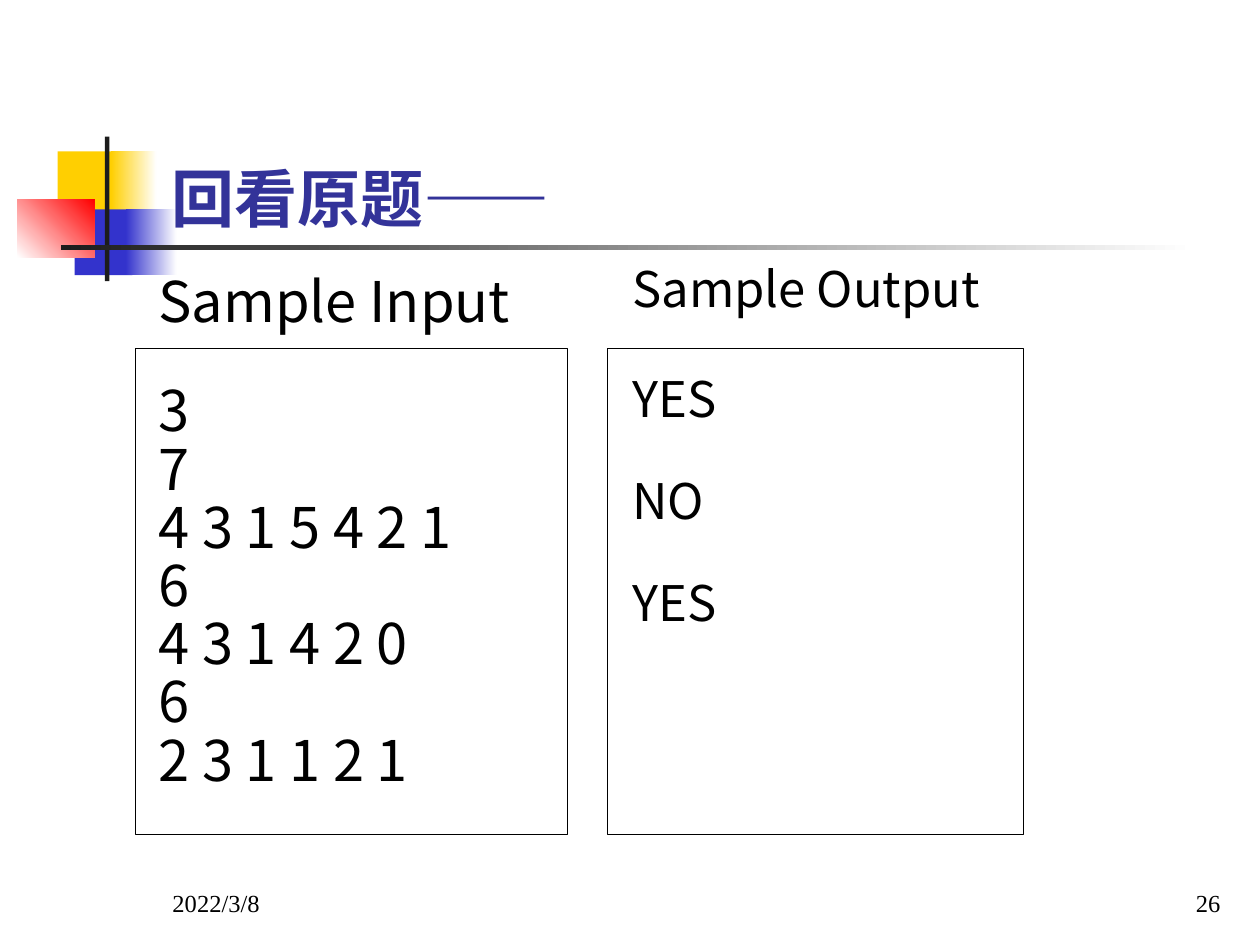
from dataclasses import dataclass

from lxml import etree
from pptx import Presentation
from pptx.dml.color import RGBColor
from pptx.enum import shapes, text
from pptx.oxml import ns
from pptx.util import Pt


@dataclass(frozen=True)
class Theme:
    yellow: str = "FFCF01"
    blue: str = "3333CC"
    red: str = "FF0000"
    dark: str = "1C1C1C"
    white: str = "FFFFFF"
    black: str = "000000"
    title: str = "333399"
    body_font: str = "Noto Sans CJK KR"
    title_font: str = "Noto Sans CJK SC"
    footer_font: str = "Times New Roman"
    title_size: float = 36
    input_size: float = 32
    output_size: float = 28
    footer_size: float = 14


T = Theme()


def rgb(color):
    return RGBColor.from_string(color)


def add_rect(s, box, fill=None, fade_to=None, angle=0, line=None):
    sp = s.shapes.add_shape(shapes.MSO_SHAPE.RECTANGLE, *map(Pt, box))
    sp.shadow.inherit = False
    if fade_to:
        sp.fill.gradient()
        sp.fill.gradient_angle = angle
        for stop, color in zip(sp.fill.gradient_stops, (fill, fade_to)):
            stop.color.rgb = rgb(color)
    elif fill:
        sp.fill.solid()
        sp.fill.fore_color.rgb = rgb(fill)
    else:
        sp.fill.background()
    if line:
        sp.line.color.rgb = rgb(line)
        sp.line.width = Pt(0.75)
    else:
        sp.line.fill.background()
    return sp


def add_text(s, box, lines, font=T.body_font, size=T.footer_size, color=T.black,
             bold=False, align=text.PP_ALIGN.LEFT, anchor=text.MSO_ANCHOR.TOP,
             spacing=1, gaps=(0,)):
    tf = s.shapes.add_textbox(*map(Pt, box)).text_frame
    tf.word_wrap = True
    tf.vertical_anchor = anchor
    for i, (line, gap) in enumerate(zip(lines, gaps)):
        p = tf.add_paragraph() if i else tf.paragraphs[0]
        p.alignment = align
        p.line_spacing = spacing
        p.space_before = Pt(gap)
        r = p.add_run()
        r.text = line
        r.font.name = font
        r.font.size = Pt(size)
        r.font.bold = bold
        r.font.color.rgb = rgb(color)
        ea = etree.SubElement(r.font._element, ns.qn("a:ea"))
        ea.set("typeface", font)


def add_ornament(s):
    add_rect(s, (33, 86.5, 34.5, 37.5), T.yellow)
    add_rect(s, (63.5, 86.5, 26, 37.5), T.yellow, T.white)
    add_rect(s, (42.7, 119.7, 33, 37.5), T.blue)
    add_rect(s, (72, 119.7, 29, 37.5), T.blue, T.white)
    add_rect(s, (10, 114, 44, 33.2), T.white, T.red, angle=45)
    add_rect(s, (60, 78, 2.5, 82.7), T.dark)
    add_rect(s, (34.8, 140.2, 648, 2.5), T.dark, T.white)


def add_samples(s):
    add_rect(s, (77.5, 199.3, 247, 277.5), line=T.black)
    add_rect(s, (347, 199.3, 238, 277.5), line=T.black)
    inputs = ["Sample Input", "3", "7", "4 3 1 5 4 2 1", "6",
              "4 3 1 4 2 0", "6", "2 3 1 1 2 1"]
    add_text(s, (83.5, 159.2, 260.5, 320), inputs, size=T.input_size,
             spacing=0.7, gaps=[0, 35.6] + [6.4] * 6)
    outputs = ["Sample Output", "YES", "NO", "YES"]
    add_text(s, (354.3, 153.6, 257.5, 244), outputs, size=T.output_size,
             spacing=0.7, gaps=[0, 39.2, 34.7, 34.7])


def main():
    prs = Presentation()
    prs.slide_width, prs.slide_height = Pt(720), Pt(540)
    s = prs.slides.add_slide(prs.slide_layouts[6])
    add_ornament(s)
    add_samples(s)
    bottom = text.MSO_ANCHOR.BOTTOM
    add_text(s, (91, 74.5, 474, 63.5), ["回看原题——"], font=T.title_font,
             size=T.title_size, color=T.title, bold=True, anchor=bottom)
    footer = dict(font=T.footer_font, size=T.footer_size, anchor=bottom)
    add_text(s, (91.5, 492, 150, 36), ["2022/3/8"], **footer)
    add_text(s, (554.5, 492, 150, 36), ["26"],
             align=text.PP_ALIGN.RIGHT, **footer)
    prs.save("out.pptx")


if __name__ == "__main__":
    main()
